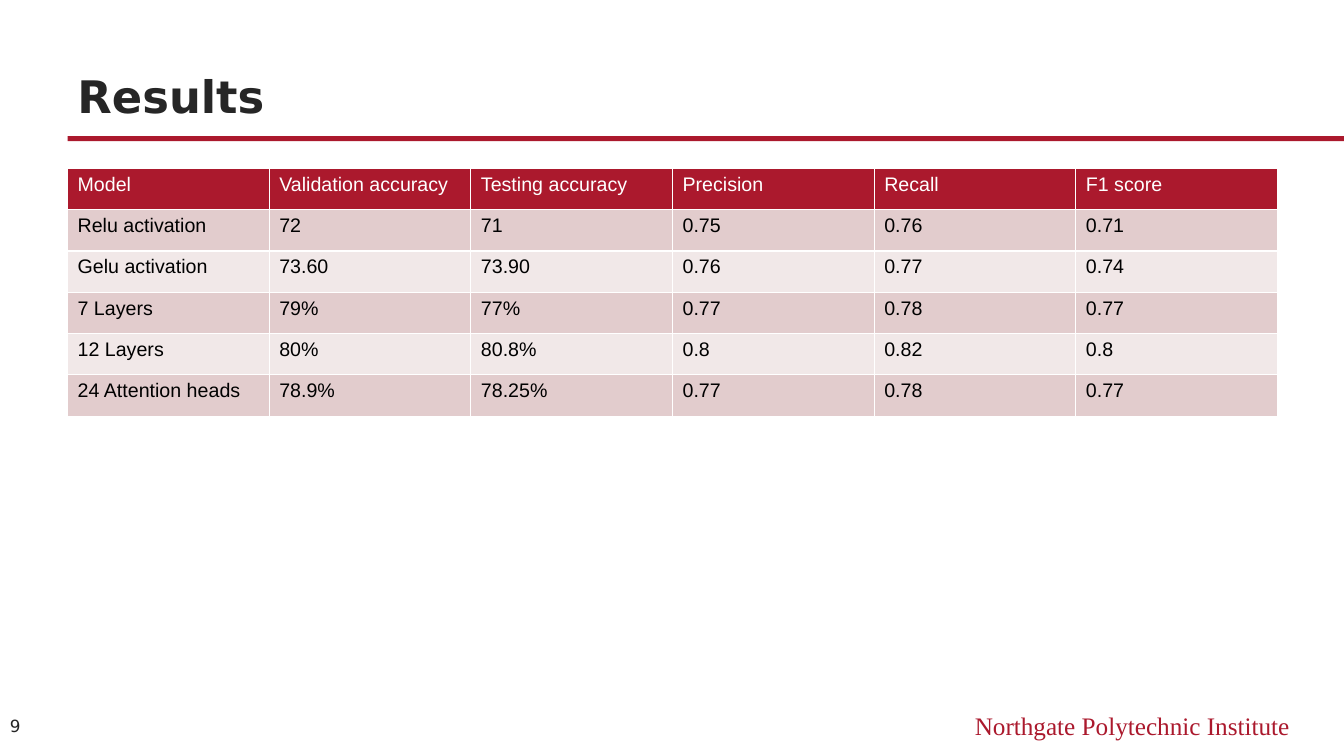
import pptx
import pptx.util
import pptx.dml.color
import pptx.enum.shapes
import pptx.enum.text

Inches = pptx.util.Inches
Pt = pptx.util.Pt
RGBColor = pptx.dml.color.RGBColor
Align = pptx.enum.text.PP_ALIGN
Anchor = pptx.enum.text.MSO_ANCHOR

RED = RGBColor(0xAB, 0x19, 0x2D)
DARK = RGBColor(0x26, 0x26, 0x26)
BLACK = RGBColor(0, 0, 0)
WHITE = RGBColor(0xFF, 0xFF, 0xFF)
ROSE = RGBColor(0xE2, 0xCC, 0xCD)
PALE = RGBColor(0xF1, 0xE8, 0xE8)

TITLE = "Results"
SCHOOL = "Northgate Polytechnic Institute"
NUMBER = "9"
SCORES = [
    ("Model", "Validation accuracy", "Testing accuracy", "Precision", "Recall", "F1 score"),
    ("Relu activation", "72", "71", "0.75", "0.76", "0.71"),
    ("Gelu activation", "73.60", "73.90", "0.76", "0.77", "0.74"),
    ("7 Layers", "79%", "77%", "0.77", "0.78", "0.77"),
    ("12 Layers", "80%", "80.8%", "0.8", "0.82", "0.8"),
    ("24 Attention heads", "78.9%", "78.25%", "0.77", "0.78", "0.77"),
]
WIDE, HIGH = 13.33, 7.5
LEFT, COL, ROW = 0.67, 2, 0.41


def write(frame, text, size, font, color, bold=False):
    frame.text = text
    run = frame.paragraphs[0].runs[0]
    run.font.size = Pt(size)
    run.font.name = font
    run.font.color.rgb = color
    run.font.bold = bold


def label(slide, box, anchor, align, *style):
    frame = slide.shapes.add_textbox(*map(Inches, box)).text_frame
    frame.word_wrap = True
    frame.vertical_anchor = anchor
    write(frame, *style)
    frame.paragraphs[0].alignment = align


def rule(slide):
    bar = slide.shapes.add_shape(
        pptx.enum.shapes.MSO_SHAPE.RECTANGLE,
        Inches(LEFT), Inches(1.35), Inches(WIDE - LEFT), Inches(0.05))
    bar.shadow.inherit = False
    bar.fill.solid()
    bar.fill.fore_color.rgb = RED
    bar.line.fill.background()


def grid(slide):
    rows, cols = len(SCORES), len(SCORES[0])
    table = slide.shapes.add_table(
        rows, cols, Inches(LEFT), Inches(1.67),
        Inches(cols * COL), Inches(rows * ROW)).table
    for r, line in enumerate(SCORES):
        fill = (ROSE if r % 2 else PALE) if r else RED
        for c, text in enumerate(line):
            cell = table.cell(r, c)
            cell.fill.solid()
            cell.fill.fore_color.rgb = fill
            write(cell.text_frame, text, 14, "Arial", BLACK if r else WHITE)


def main():
    deck = pptx.Presentation()
    deck.slide_width, deck.slide_height = Inches(WIDE), Inches(HIGH)
    slide = deck.slides.add_slide(deck.slide_layouts[6])
    rule(slide)
    label(slide, (8, 7, 4.89, 0.4), Anchor.TOP, Align.RIGHT,
          SCHOOL, 18, "Times New Roman", RED)
    label(slide, (LEFT, 0.38, 12, 0.88), Anchor.BOTTOM, Align.LEFT,
          TITLE, 32, "DejaVu Sans", DARK, True)
    grid(slide)
    label(slide, (0, 6.99, LEFT, 0.43), Anchor.MIDDLE, Align.LEFT,
          NUMBER, 12, "DejaVu Sans", DARK)
    deck.save("out.pptx")


if __name__ == "__main__":
    main()
